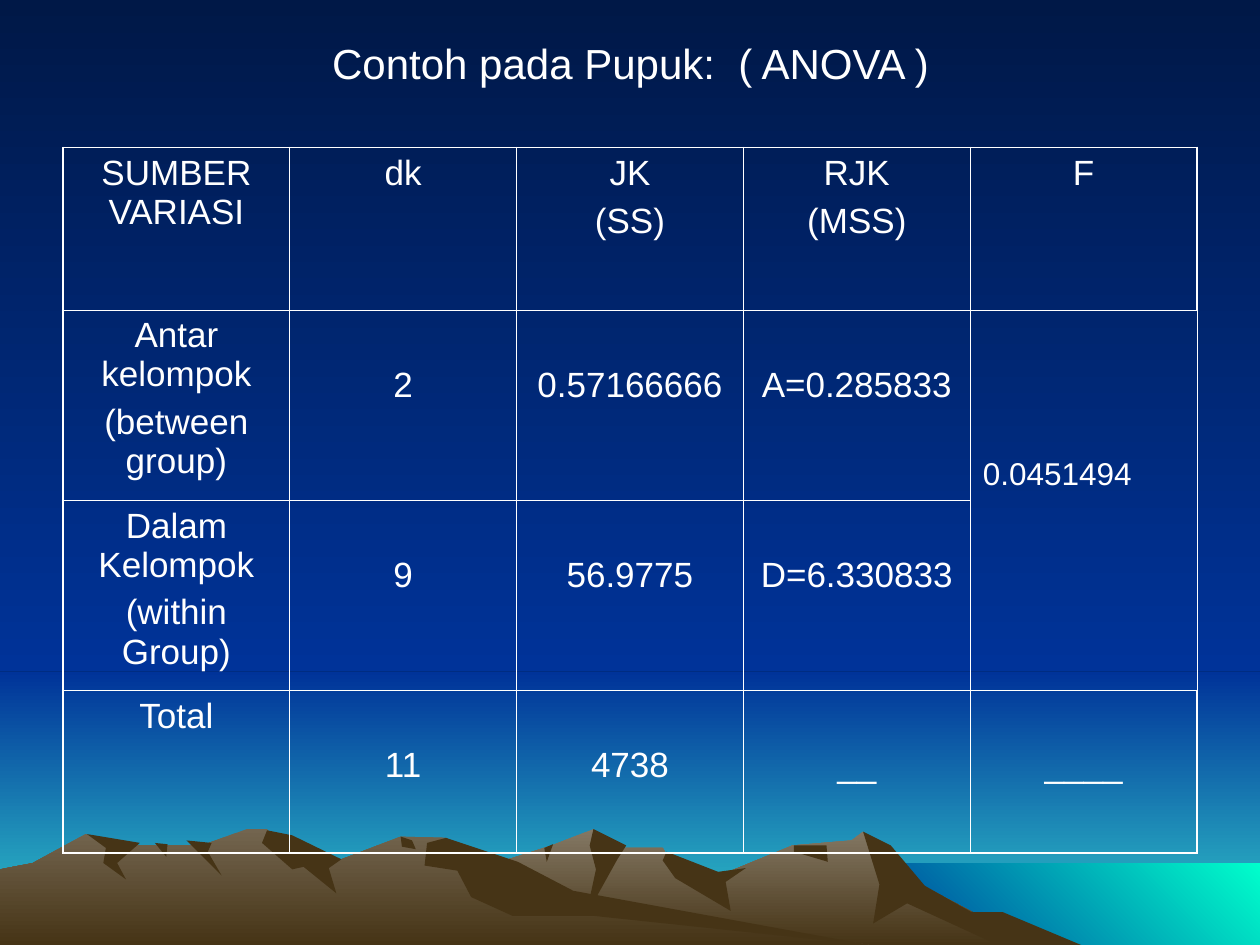
from lxml import etree
from pptx import Presentation
from pptx.dml.color import RGBColor
from pptx.enum.shapes import MSO_SHAPE
from pptx.enum.text import PP_ALIGN
from pptx.oxml.ns import qn
from pptx.util import Pt

RECTANGLE = MSO_SHAPE.RECTANGLE
CENTER, LEFT = PP_ALIGN.CENTER, PP_ALIGN.LEFT

PX = 9144
FONT = "Arial"
WHITE = RGBColor(0xFF, 0xFF, 0xFF)
NIGHT = RGBColor(0x00, 0x18, 0x47)
BLUE = RGBColor(0x00, 0x33, 0x99)
HORIZON = RGBColor(0x33, 0xCC, 0xCC)
AQUA = RGBColor(0x00, 0xFF, 0xCC)
STONE = RGBColor(0x84, 0x78, 0x64)
CLAY = RGBColor(0x73, 0x65, 0x4F)
EARTH = RGBColor(0x46, 0x34, 0x16)
DOWN, UP_RIGHT = 270, 45
THICK, THIN = Pt(1.08), Pt(0.45)

MOUNTAINS = [
    (STONE, [
        (821, 92), (723, 40), (685, 2), (676, 9), (629, 13), (566, 39), (536, 32), (526, 15),
        (486, 15), (471, 0), (438, 13), (394, 27), (327, 51), (258, 92)]),
    (EARTH, [
        (796, 66), (771, 66), (734, 45), (707, 13), (685, 2), (698, 44), (693, 75), (720, 59),
        (792, 92), (858, 92)]),
    (EARTH, [(471, 0), (468, 13), (473, 32), (465, 69), (490, 24), (497, 13)]),
    (EARTH, [(529, 18), (526, 25), (536, 39), (580, 65), (576, 42), (592, 31), (570, 34)]),
    (EARTH, [(656, 13), (630, 13), (630, 18), (657, 26)]),
    (EARTH, [(439, 12), (432, 15), (434, 26)]),
    (CLAY, [
        (690, 92), (432, 54), (354, 7), (318, 6), (271, 24), (236, 23), (212, 0), (196, 0),
        (160, 13), (94, 13), (68, 4), (26, 27), (0, 32), (0, 92)]),
    (EARTH, [
        (212, 1), (208, 11), (232, 32), (241, 30), (267, 51), (261, 31), (271, 24), (232, 5)]),
    (EARTH, [
        (354, 7), (339, 11), (337, 29), (363, 33), (374, 54), (407, 69), (472, 69), (690, 92),
        (455, 49), (411, 26)]),
    (EARTH, [(318, 6), (327, 9), (330, 16), (319, 14)]),
    (EARTH, [(148, 9), (168, 11), (165, 18), (176, 37)]),
    (EARTH, [(133, 12), (132, 22), (123, 11)]),
    (EARTH, [(111, 11), (93, 27), (100, 40), (82, 27), (84, 15), (69, 4)]),
]

ROWS = [
    (129, [["SUMBER VARIASI"], ["dk"], ["JK", "(SS)"], ["RJK", "(MSS)"], ["F"]]),
    (151, [["Antar kelompok", "(between group)"], ["2"], ["0.57166666"], ["A=0.285833"],
           ["0.0451494"]]),
    (151, [["Dalam Kelompok", "(within Group)"], ["9"], ["56.9775"], ["D=6.330833"], []]),
    (129, [["Total"], ["11"], ["4738"], ["__"], ["____"]]),
]


def set_gradient(fill, first, last, angle):
    """Fill with a linear blend of two colours."""
    fill.gradient()
    fill.gradient_angle = angle
    for stop, color in zip(fill.gradient_stops, (first, last)):
        stop.color.rgb = color


def add_band(page, box, first, last, angle):
    """Fill a box with a borderless gradient rectangle."""
    band = page.shapes.add_shape(RECTANGLE, *(length * PX for length in box))
    band.shadow.inherit = False
    band.line.fill.background()
    set_gradient(band.fill, first, last, angle)


def add_mountains(page, box):
    """Draw the ridges and their dark faces from the top left of the box."""
    left, top = box[:2]
    for color, outline in MOUNTAINS:
        points = [(left + x, top + y) for x, y in outline]
        builder = page.shapes.build_freeform(*points[0], scale=PX)
        builder.add_line_segments(points[1:], close=True)
        ridge = builder.convert_to_shape()
        ridge.shadow.inherit = False
        ridge.line.fill.background()
        if color == EARTH:
            ridge.fill.solid()
            ridge.fill.fore_color.rgb = EARTH
        else:
            set_gradient(ridge.fill, color, EARTH, DOWN)


def write_lines(frame, lines, size, alignment):
    """Write one white paragraph for each line."""
    frame.text = "\n".join(lines)
    for index, para in enumerate(frame.paragraphs):
        para.alignment = alignment
        para.space_before = Pt(5 if index else 0)
        para.font.size = Pt(size)
        para.font.name = FONT
        para.font.color.rgb = WHITE


def set_borders(cell, widths):
    """Give a cell white borders, with widths keyed by side."""
    properties = cell._tc.get_or_add_tcPr()
    for index, side in enumerate(("L", "R", "T", "B")):
        line = etree.Element(qn(f"a:ln{side}"), w=str(widths.get(side, THIN)))
        solid = etree.SubElement(line, qn("a:solidFill"))
        etree.SubElement(solid, qn("a:srgbClr"), val=str(WHITE))
        properties.insert(index, line)


def add_anova_table(page, box):
    """Build the variance table in the box."""
    columns = len(ROWS[0][1])
    last_row, last_column = len(ROWS) - 1, columns - 1
    table = page.shapes.add_table(len(ROWS), columns, *(length * PX for length in box)).table
    table.first_row = table.horz_banding = False
    for column in table.columns:
        column.width = box[2] // columns * PX
    for row, (height, texts) in enumerate(ROWS):
        table.rows[row].height = height * PX
        for column, lines in enumerate(texts):
            cell = table.cell(row, column)
            is_ratio = column == last_column and row in (1, 2)
            cell.fill.background()
            edges = {"L": column == 0, "R": column == last_column and not is_ratio,
                     "T": row == 0, "B": row == last_row}
            set_borders(cell, {side: THICK for side, outer in edges.items() if outer})
            if is_ratio:
                cell.margin_top = (117 if lines else 5) * PX
                write_lines(cell.text_frame, lines, 18, LEFT)
            else:
                cell.margin_top = (44 if row and column else 5) * PX
                write_lines(cell.text_frame, lines, 20, CENTER)
    table.cell(1, last_column).merge(table.cell(2, last_column))


def add_title(page, box):
    """Write the centred title in the box."""
    title = page.shapes.add_textbox(*(length * PX for length in box))
    title.text_frame.word_wrap = True
    write_lines(title.text_frame, ["Contoh pada Pupuk:  ( ANOVA )"], 24, CENTER)


def main():
    """Build and save the deck."""
    deck = Presentation()
    deck.slide_width, deck.slide_height = 1000 * PX, 750 * PX
    page = deck.slides.add_slide(deck.slide_layouts[6])
    set_gradient(page.background.fill, NIGHT, BLUE, DOWN)
    add_band(page, (0, 533, 1000, 217), BLUE, HORIZON, DOWN)
    add_band(page, (0, 0, 1000, 533), NIGHT, BLUE, DOWN)
    add_band(page, (683, 685, 317, 65), BLUE, AQUA, UP_RIGHT)
    add_mountains(page, (0, 658, 858, 92))
    add_anova_table(page, (50, 117, 900, 560))
    add_title(page, (92, 25, 817, 50))
    deck.save("out.pptx")


if __name__ == "__main__":
    main()
